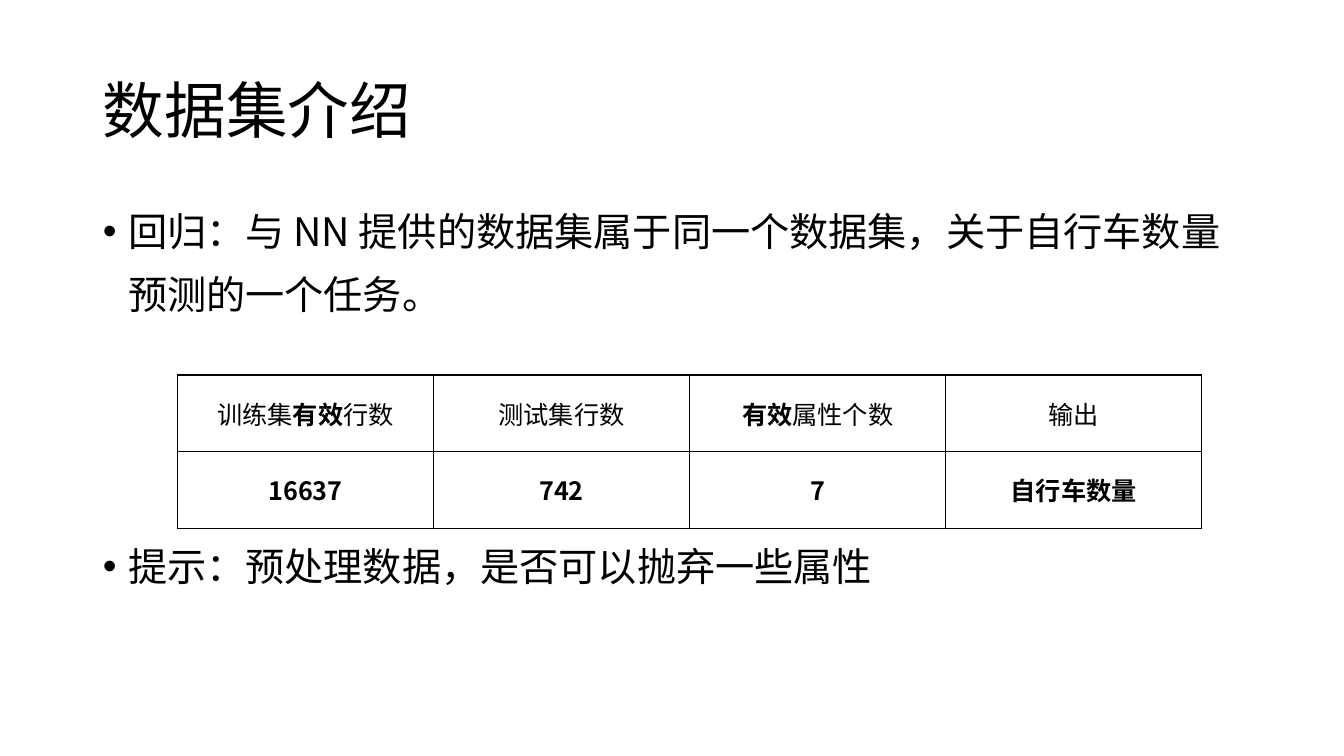
import pptx
import pptx.util
import pptx.dml.color
import pptx.enum.text
import pptx.oxml
import pptx.oxml.ns

Inches, Pt = pptx.util.Inches, pptx.util.Pt
PP_ALIGN = pptx.enum.text.PP_ALIGN
MIDDLE = pptx.enum.text.MSO_ANCHOR.MIDDLE
COLORS = {"text": "000000", "border": "000000", "cell": "FFFFFF"}
FONT = "Noto Sans CJK SC"


class SlideBuilder:
    def __init__(self, prs):
        self.slide = prs.slides.add_slide(prs.slide_layouts[1])

    def add_runs(self, p, runs, size):
        """Add (text, bold) pairs to a paragraph."""
        for text, bold in runs:
            r = p.add_run()
            r.text = text
            r.font.size, r.font.bold, r.font.name = Pt(size), bold, FONT
            r.font.color.rgb = pptx.dml.color.RGBColor.from_string(COLORS["text"])
            for tag in ("a:ea", "a:cs"):
                font = pptx.oxml.parse_xml(
                    f'<{tag} {pptx.oxml.ns.nsdecls("a")} typeface="{FONT}"/>')
                r.font._element.append(font)

    def place(self, sp, left, top, width, height):
        sp.left, sp.top = Inches(left), Inches(top)
        sp.width, sp.height = Inches(width), Inches(height)
        sp.text_frame.auto_size = pptx.enum.text.MSO_AUTO_SIZE.NONE
        sp.text_frame.word_wrap = True
        return sp.text_frame

    def title(self, text):
        tf = self.place(self.slide.shapes.title, 0.92, 0.4, 11.5, 1.45)
        tf.vertical_anchor = MIDDLE
        p = tf.paragraphs[0]
        p.alignment, p.line_spacing = PP_ALIGN.LEFT, 0.9
        self.add_runs(p, [(text, False)], 44)

    def bullets(self, items):
        """Fill the body with (text, line spacing, points before) items."""
        tf = self.place(self.slide.placeholders[1], 0.92, 1.85, 11.5, 4.91)
        for i, (text, spacing, before) in enumerate(items):
            p = tf.add_paragraph() if i else tf.paragraphs[0]
            p.line_spacing, p.space_before = spacing, Pt(before)
            pPr = p._p.get_or_add_pPr()
            pPr.set("marL", str(Inches(0.25)))
            pPr.set("indent", str(-Inches(0.25)))
            ns = pptx.oxml.ns.nsdecls("a")
            pPr.append(pptx.oxml.parse_xml(f'<a:buFont {ns} typeface="Arial"/>'))
            pPr.append(pptx.oxml.parse_xml(f'<a:buChar {ns} char="•"/>'))
            self.add_runs(p, [(text, False)], 28)

    def border(self, cell):
        tcPr = cell._tc.get_or_add_tcPr()
        for i, side in enumerate(("lnL", "lnR", "lnT", "lnB")):
            tcPr.insert(i, pptx.oxml.parse_xml(
                f'<a:{side} {pptx.oxml.ns.nsdecls("a")} w="{Pt(1)}"><a:solidFill>'
                f'<a:srgbClr val="{COLORS["border"]}"/></a:solidFill></a:{side}>'))

    def table(self, rows, left, top, col_width, row_height):
        n_rows, n_cols = len(rows), len(rows[0])
        table = self.slide.shapes.add_table(
            n_rows, n_cols, Inches(left), Inches(top),
            Inches(col_width * n_cols), Inches(row_height * n_rows)).table
        for i, row in enumerate(rows):
            for j, runs in enumerate(row):
                cell = table.cell(i, j)
                cell.fill.solid()
                cell.fill.fore_color.rgb = pptx.dml.color.RGBColor.from_string(COLORS["cell"])
                cell.vertical_anchor = MIDDLE
                p = cell.text_frame.paragraphs[0]
                p.alignment = PP_ALIGN.CENTER
                self.add_runs(p, runs, 18)
                self.border(cell)


def main():
    prs = pptx.Presentation()
    prs.slide_width, prs.slide_height = Inches(13.33), Inches(7.5)
    s = SlideBuilder(prs)
    s.title("数据集介绍")
    s.bullets([
        ("回归：与 NN 提供的数据集属于同一个数据集，关于自行车数量预测的一个任务。", 1.34, 10),
        ("提示：预处理数据，是否可以抛弃一些属性", 0.9, 164),
    ])
    headers = [
        [("训练集", False), ("有效", True), ("行数", False)],
        [("测试集行数", False)],
        [("有效", True), ("属性个数", False)],
        [("输出", False)],
    ]
    values = [[(text, True)] for text in ("16637", "742", "7", "自行车数量")]
    s.table([headers, values], 1.76, 3.72, 2.54, 0.76)
    prs.save("out.pptx")


if __name__ == "__main__":
    main()
